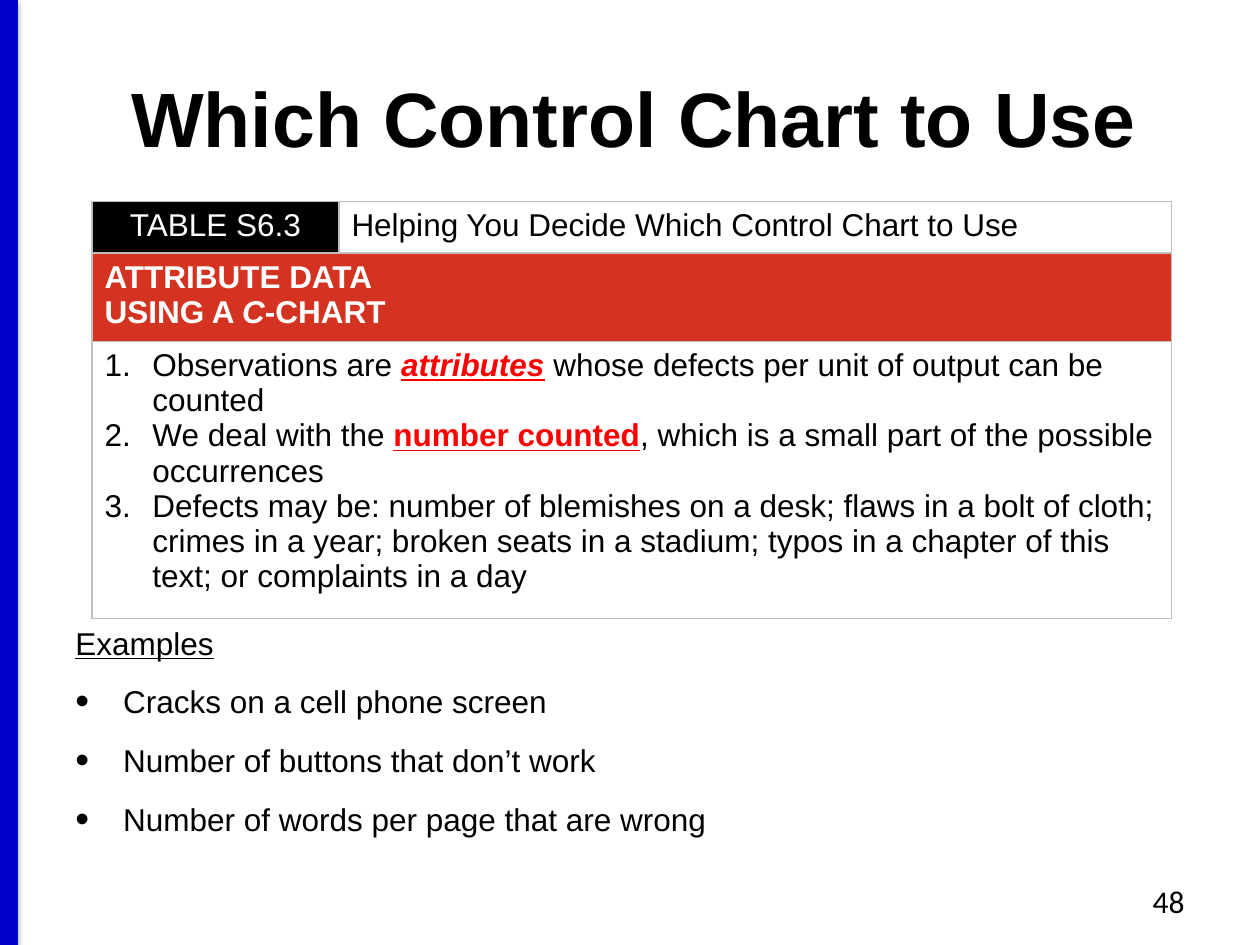
"""Build the slide that explains when to use a c-chart."""
from dataclasses import dataclass

from lxml import etree
from pptx import Presentation
from pptx.dml.color import RGBColor as Rgb
from pptx.enum.shapes import MSO_CONNECTOR as Connector
from pptx.enum.text import MSO_ANCHOR as Anchor, PP_ALIGN as Align
from pptx.oxml import parse_xml
from pptx.oxml.ns import nsdecls, qn
from pptx.util import Inches, Pt


@dataclass(frozen=True)
class Theme:
    font: str = "Arial"
    number_font: str = "Calibri"
    title_size: int = 44
    body_size: int = 18
    black: str = "000000"
    white: str = "FFFFFF"
    red: str = "FF0000"
    band: str = "D33320"
    stripe: str = "0000CC"
    border: str = "BFBFBF"


theme = Theme()


def add_span(para, text, size=theme.body_size, font=theme.font, color=theme.black,
             bold=False, italic=False, underline=False):
    span = para.add_run()
    span.text = text
    span.font.size = Pt(size)
    span.font.name = font
    span.font.color.rgb = Rgb.from_string(color)
    span.font.bold = bold
    span.font.italic = italic
    span.font.underline = underline


def add_bullet(para, *marks):
    properties = para._p.get_or_add_pPr()
    properties.set("marL", str(Inches(0.38)))
    properties.set("indent", str(-Inches(0.38)))
    for tag, attributes in marks:
        mark = etree.SubElement(properties, qn(f"a:{tag}"), attributes)
        if tag == "buClr":
            etree.SubElement(mark, qn("a:srgbClr"), val=theme.black)


deck = Presentation()
deck.slide_width, deck.slide_height = Inches(10), Inches(7.5)
page = deck.slides.add_slide(deck.slide_layouts[5])

stripe = page.shapes.add_connector(
    Connector.STRAIGHT, Inches(0.07), Inches(0), Inches(0.07), Inches(7.5))
stripe.line.color.rgb = Rgb.from_string(theme.stripe)
stripe.line.width = Pt(10)
stripe._element.spPr.append(parse_xml(
    f'<a:effectLst {nsdecls("a")}>'
    f'<a:outerShdw blurRad="{Pt(3.1)}" dist="{Pt(1.6)}" dir="5400000" rotWithShape="0">'
    f'<a:srgbClr val="{theme.black}"><a:alpha val="38000"/></a:srgbClr>'
    '</a:outerShdw></a:effectLst>'))

title = page.shapes.title
title.left, title.top = Inches(0.07), Inches(0.3)
title.width, title.height = Inches(9.93), Inches(1.25)
title.text_frame.vertical_anchor = Anchor.MIDDLE
title_para = title.text_frame.paragraphs[0]
title_para.alignment = Align.CENTER
add_span(title_para, "Which Control Chart to Use", size=theme.title_size, bold=True)

number_box = page.shapes.add_textbox(Inches(7.17), Inches(6.95), Inches(2.33), Inches(0.4))
number_box.text_frame.word_wrap = True
number_para = number_box.text_frame.paragraphs[0]
number_para.alignment = Align.RIGHT
add_span(number_para, "48", font=theme.number_font)

column_widths = [1.96, 6.61]
row_heights = [0.41, 0.66, 2.06]
table = page.shapes.add_table(
    len(row_heights), len(column_widths), Inches(0.73), Inches(1.6),
    Inches(sum(column_widths)), Inches(sum(row_heights))).table
for column, width in zip(table.columns, column_widths):
    column.width = Inches(width)
for row, height in zip(table.rows, row_heights):
    row.height = Inches(height)
for row_index in (1, 2):
    table.cell(row_index, 0).merge(table.cell(row_index, 1))

header = dict(color=theme.white, bold=True)
keyword = dict(color=theme.red, bold=True, underline=True)
cell_texts = {
    (0, 0): [[("TABLE S6.3", dict(color=theme.white))]],
    (0, 1): [[("Helping You Decide Which Control Chart to Use", {})]],
    (1, 0): [
        [("ATTRIBUTE DATA", header)],
        [("USING A ", header), ("C", dict(header, italic=True)), ("-CHART", header)],
    ],
    (2, 0): [
        [("Observations are ", {}), ("attributes", dict(keyword, italic=True)),
         (" whose defects per unit of output can be counted", {})],
        [("We deal with the ", {}), ("number counted", keyword),
         (", which is a small part of the possible occurrences", {})],
        [("Defects may be: number of blemishes on a desk; flaws in a bolt of cloth; "
          "crimes in a year; broken seats in a stadium; typos in a chapter of this "
          "text; or complaints in a day", {})],
    ],
}
for (row_index, column_index), paragraphs in cell_texts.items():
    frame = table.cell(row_index, column_index).text_frame
    for index, spans in enumerate(paragraphs):
        para = frame.add_paragraph() if index else frame.paragraphs[0]
        for text, style in spans:
            add_span(para, text, **style)
        if row_index == 2:
            add_bullet(para, ("buFont", {"typeface": "+mj-lt"}),
                       ("buAutoNum", {"type": "arabicPeriod"}))
table.cell(0, 0).text_frame.paragraphs[0].alignment = Align.CENTER

fills = [[theme.black, theme.white], [theme.band] * 2, [theme.white] * 2]
for row, row_fills in zip(table.rows, fills):
    for cell, fill in zip(row.cells, row_fills):
        cell.fill.solid()
        cell.fill.fore_color.rgb = Rgb.from_string(fill)
        for position, side in enumerate(("lnL", "lnR", "lnT", "lnB")):
            cell._tc.get_or_add_tcPr().insert(position, parse_xml(
                f'<a:{side} {nsdecls("a")} w="{Pt(1)}"><a:solidFill>'
                f'<a:srgbClr val="{theme.border}"/></a:solidFill></a:{side}>'))

examples_box = page.shapes.add_textbox(Inches(0.5), Inches(4.9), Inches(9), Inches(2.02))
examples = examples_box.text_frame
examples.word_wrap = True
heading = examples.paragraphs[0]
heading.space_after = Pt(12)
add_span(heading, "Examples", underline=True)
for text in ("Cracks on a cell phone screen",
             "Number of buttons that don’t work",
             "Number of words per page that are wrong"):
    para = examples.add_paragraph()
    para.space_after = Pt(12)
    add_span(para, text)
    add_bullet(para, ("buClr", {}), ("buSzPct", {"val": "125000"}),
               ("buFont", {"typeface": theme.font}), ("buChar", {"char": "•"}))

deck.save("out.pptx")
